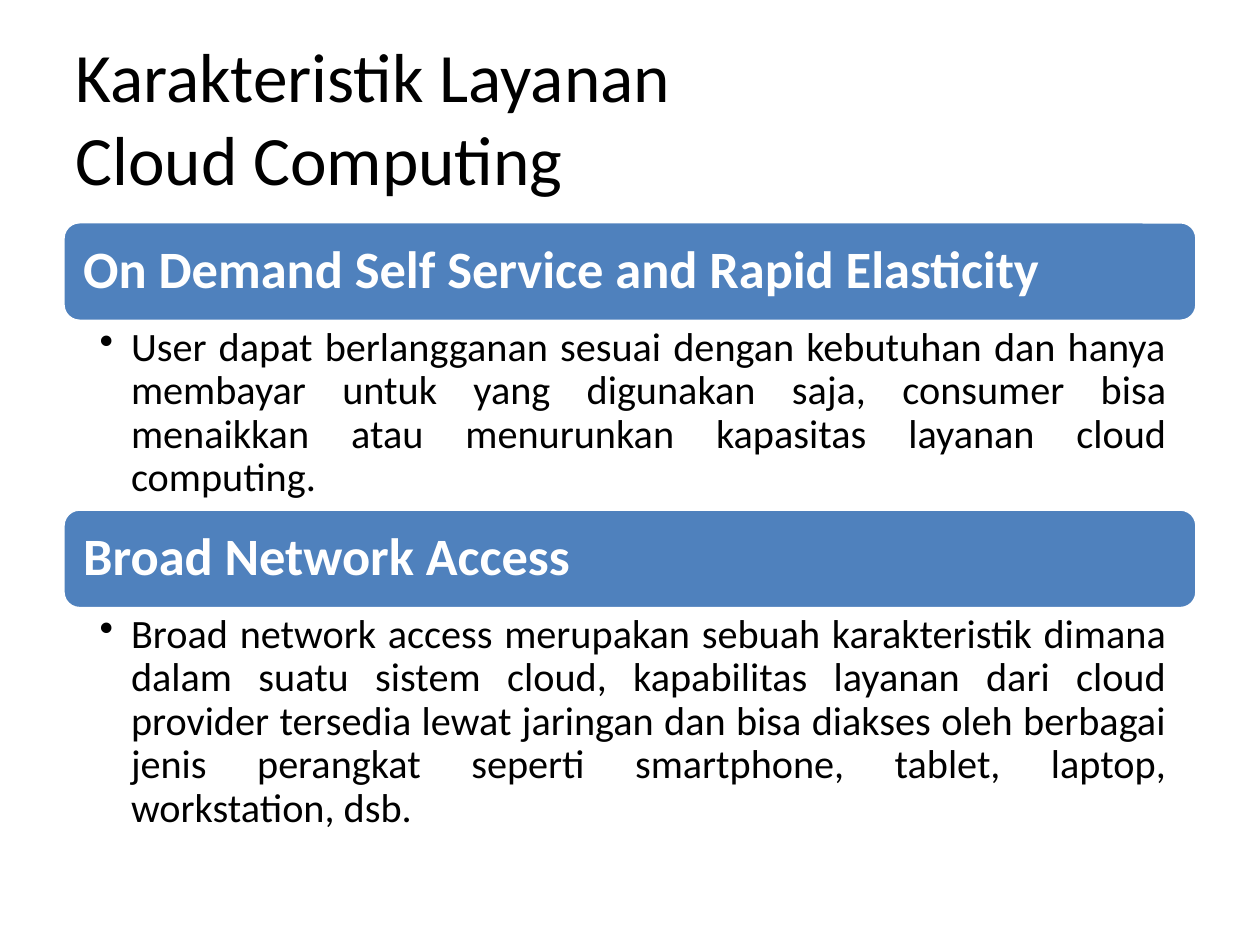
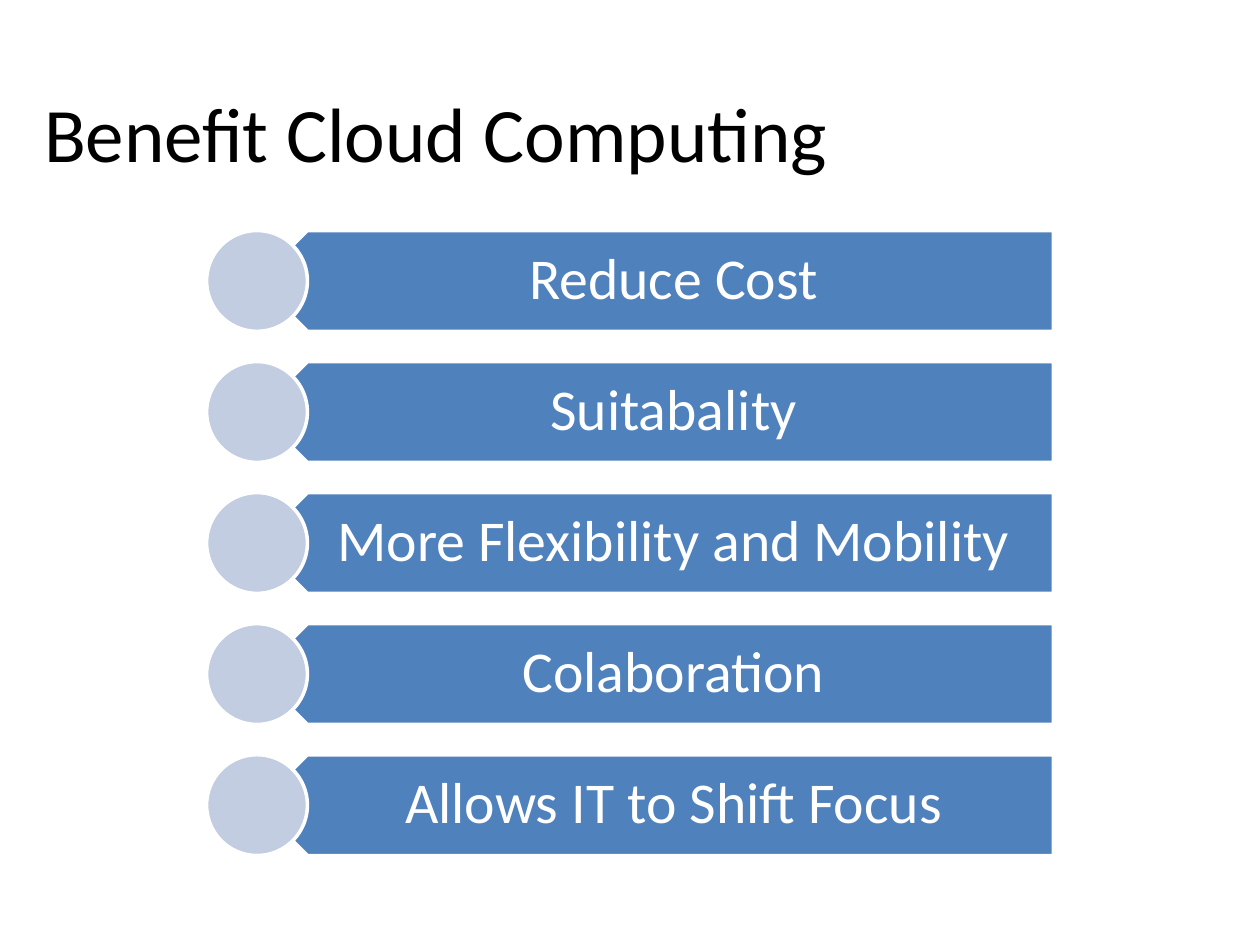
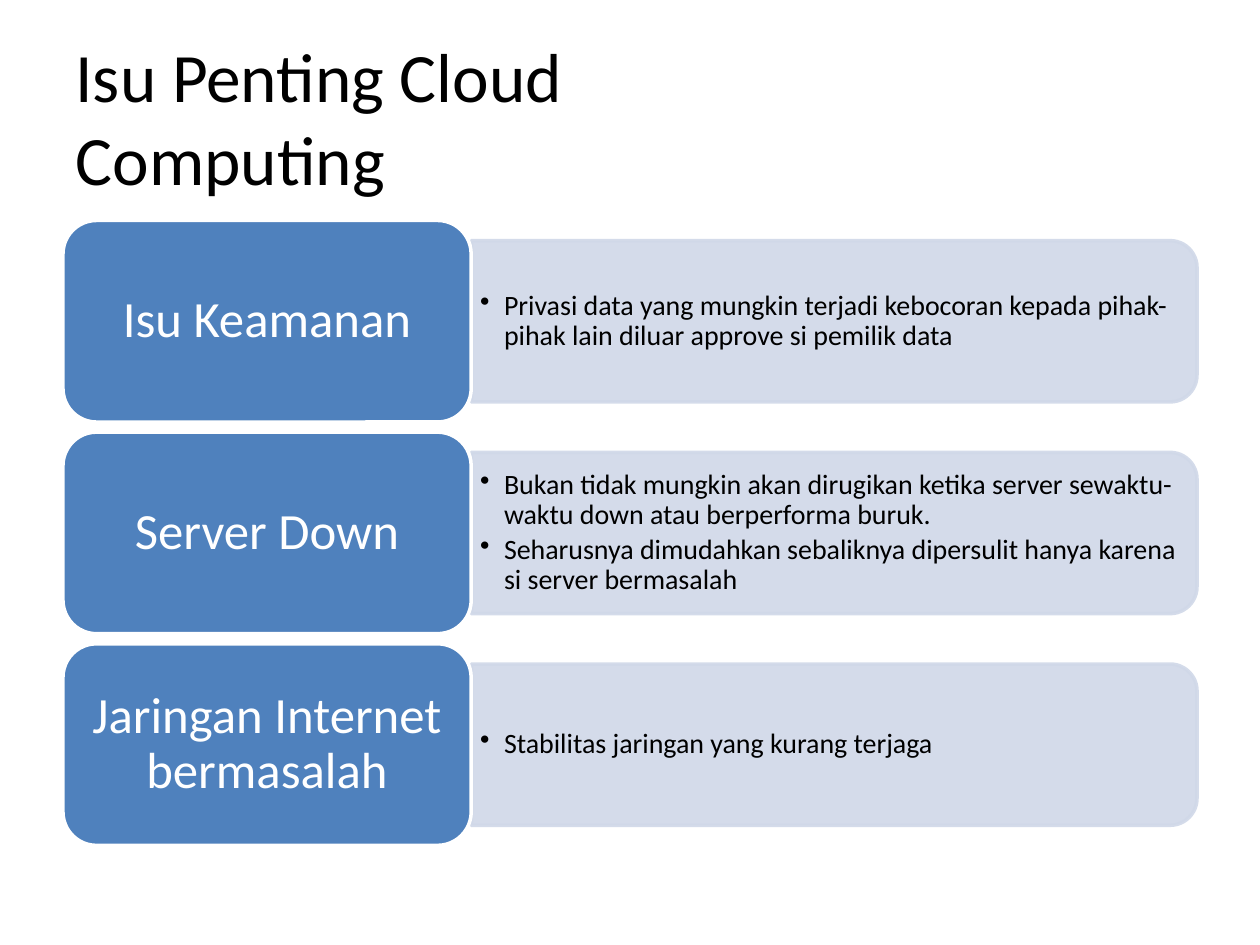
from lxml.etree import SubElement
from pptx import Presentation
from pptx.dml.color import RGBColor
from pptx.enum.shapes import MSO_SHAPE as Preset
from pptx.enum.text import MSO_ANCHOR as Anchor, MSO_AUTO_SIZE as AutoSize, PP_ALIGN as Align
from pptx.oxml.ns import qn
from pptx.util import Inches, Pt

COLORS = {
    "text": "000000",
    "white": "FFFFFF",
    "bar": "4F81BD",
    "dot": "C2CDE1",
    "panel": "D0D8E8",
}
FONT = "Calibri"
MARGIN = 0.5
CONTENT_WIDTH = 9


def draw_shape(slide, preset, left, top, width, height, fill, line="white", rotation=0, opacity=100):
    shape = slide.shapes.add_shape(preset, Inches(left), Inches(top), Inches(width), Inches(height))
    shape.shadow.inherit = False
    shape.rotation = rotation
    shape.fill.solid()
    shape.fill.fore_color.rgb = RGBColor.from_string(COLORS[fill])
    shape.line.color.rgb = RGBColor.from_string(COLORS[line])
    shape.line.width = Pt(2)
    if opacity < 100:
        for color in shape._element.spPr.iter(qn("a:srgbClr")):
            SubElement(color, qn("a:alpha"), val=str(opacity * 1000))


def write_text(box, lines, size, color="text", bold=False, align=Align.LEFT, anchor=Anchor.MIDDLE,
               insets=(0.1, 0.05, 0.1, 0.05), spacing=0.9, gap=0, indent=0):
    frame = box.text_frame
    frame.word_wrap = True
    frame.auto_size = AutoSize.NONE
    frame.vertical_anchor = anchor
    frame.margin_left, frame.margin_top, frame.margin_right, frame.margin_bottom = map(Inches, insets)
    for number, line in enumerate(lines):
        paragraph = frame.add_paragraph() if number else frame.paragraphs[0]
        if indent:
            properties = paragraph._p.get_or_add_pPr()
            properties.set("marL", str(Inches(indent)))
            properties.set("indent", str(-Inches(indent)))
            SubElement(properties, qn("a:buChar"), char="•")
            paragraph.level = 1
        paragraph.alignment = align
        paragraph.line_spacing = spacing
        paragraph.space_after = Pt(gap)
        for part, words in enumerate(line.split("\n")):
            if part:
                paragraph.add_line_break()
            run = paragraph.add_run()
            run.text = words
            run.font.name = FONT
            run.font.size = Pt(size)
            run.font.bold = bold
            run.font.color.rgb = RGBColor.from_string(COLORS[color])


deck = Presentation()
deck.slide_width, deck.slide_height = Inches(10), Inches(7.5)

slides = []
for heading, left, top, size in (
    ("Karakteristik Layanan\nCloud Computing", MARGIN, 0.3, 39.6),
    ("Benefit Cloud Computing", 0.25, 0.42, 44),
    ("Isu Penting Cloud Computing", MARGIN, 0.3, 39.6),
):
    slide = deck.slides.add_slide(deck.slide_layouts[5])
    title = slide.shapes.title
    title.left, title.top, title.width, title.height = map(Inches, (left, top, 6.5, 1.25))
    write_text(title, [heading], size, spacing=1.0)
    slides.append(slide)
characteristics, benefits, issues = slides

bar_height, bar_pad = 0.79, 0.04
top = 1.76
for name, description, description_height in (
    ("On Demand Self Service and Rapid Elasticity",
     "User dapat berlangganan sesuai dengan kebutuhan dan hanya membayar untuk yang digunakan saja, "
     "consumer bisa menaikkan atau menurunkan kapasitas layanan cloud computing.", 1.49),
    ("Broad Network Access",
     "Broad network access merupakan sebuah karakteristik dimana dalam suatu sistem cloud, "
     "kapabilitas layanan dari cloud provider tersedia lewat jaringan dan bisa diakses oleh berbagai "
     "jenis perangkat seperti smartphone, tablet, laptop, workstation, dsb.", 1.87),
):
    draw_shape(characteristics, Preset.ROUNDED_RECTANGLE, MARGIN, top, CONTENT_WIDTH, bar_height, "bar")
    label = characteristics.shapes.add_textbox(
        Inches(MARGIN + bar_pad), Inches(top + bar_pad),
        Inches(CONTENT_WIDTH - 2 * bar_pad), Inches(bar_height - 2 * bar_pad))
    write_text(label, [name], 30, "white", bold=True, insets=(0.12,) * 4)
    top += bar_height
    detail = characteristics.shapes.add_textbox(
        Inches(MARGIN), Inches(top), Inches(CONTENT_WIDTH), Inches(description_height))
    write_text(detail, [description], 23, align=Align.JUSTIFY, anchor=Anchor.TOP,
               insets=(0.29, 0.04, 0.23, 0.04), indent=0.25)
    top += description_height

dot_size, dot_left = 0.8, 1.64
arrow_left, arrow_width = dot_left + dot_size / 2, 6.32
for row, benefit in enumerate((
    "Reduce Cost",
    "Suitabality",
    "More Flexibility and Mobility",
    "Colaboration",
    "Allows IT to Shift Focus",
)):
    top = 1.83 + row * 1.3 * dot_size
    draw_shape(benefits, Preset.PENTAGON, arrow_left, top, arrow_width, dot_size, "bar", rotation=180)
    label = benefits.shapes.add_textbox(
        Inches(arrow_left + dot_size / 4), Inches(top), Inches(arrow_width - dot_size / 4), Inches(dot_size))
    write_text(label, [benefit], 33, "white", align=Align.CENTER, insets=(0.35, 0.14, 0.26, 0.14))
    draw_shape(benefits, Preset.OVAL, dot_left, top, dot_size, dot_size, "dot")

card_width, card_height, card_pad = 3.24, 1.6, 0.08
panel_left, panel_width = MARGIN + card_width, CONTENT_WIDTH - card_width
panel_height = 0.8 * card_height
detail_width, detail_height = 5.7, 1.15
for row, (issue, details) in enumerate((
    ("Isu Keamanan",
     ["Privasi data yang mungkin terjadi kebocoran kepada pihak-pihak lain diluar approve si pemilik data"]),
    ("Server Down",
     ["Bukan tidak mungkin akan dirugikan ketika server sewaktu-waktu down atau berperforma buruk.",
      "Seharusnya dimudahkan sebaliknya dipersulit hanya karena si server bermasalah"]),
    ("Jaringan Internet bermasalah", ["Stabilitas jaringan yang kurang terjaga"]),
)):
    top = 1.75 + row * 1.05 * card_height
    middle = top + card_height / 2
    draw_shape(issues, Preset.ROUND_2_SAME_RECTANGLE,
               panel_left + (panel_width - panel_height) / 2, middle - panel_width / 2,
               panel_height, panel_width, "panel", line="panel", rotation=90, opacity=90)
    detail = issues.shapes.add_textbox(
        Inches(panel_left), Inches(middle - detail_height / 2), Inches(detail_width), Inches(detail_height))
    write_text(detail, details, 16, insets=(0.07, 0.03, 0.07, 0.03), gap=2.4, indent=0.19)
    draw_shape(issues, Preset.ROUNDED_RECTANGLE, MARGIN, top, card_width, card_height, "bar")
    label = issues.shapes.add_textbox(
        Inches(MARGIN + card_pad), Inches(top + card_pad),
        Inches(card_width - 2 * card_pad), Inches(card_height - 2 * card_pad))
    write_text(label, [issue], 29, "white", align=Align.CENTER, insets=(0.12, 0.06, 0.12, 0.06))

deck.save("out.pptx")
